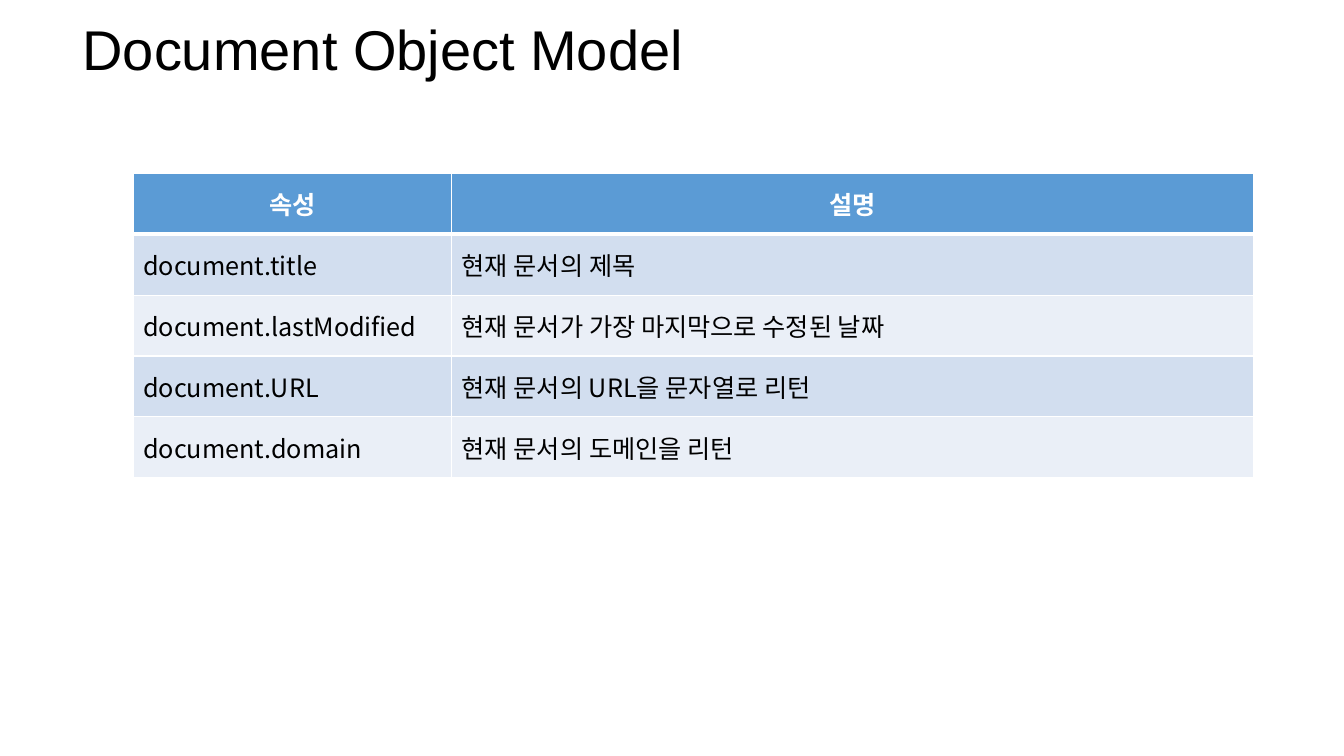
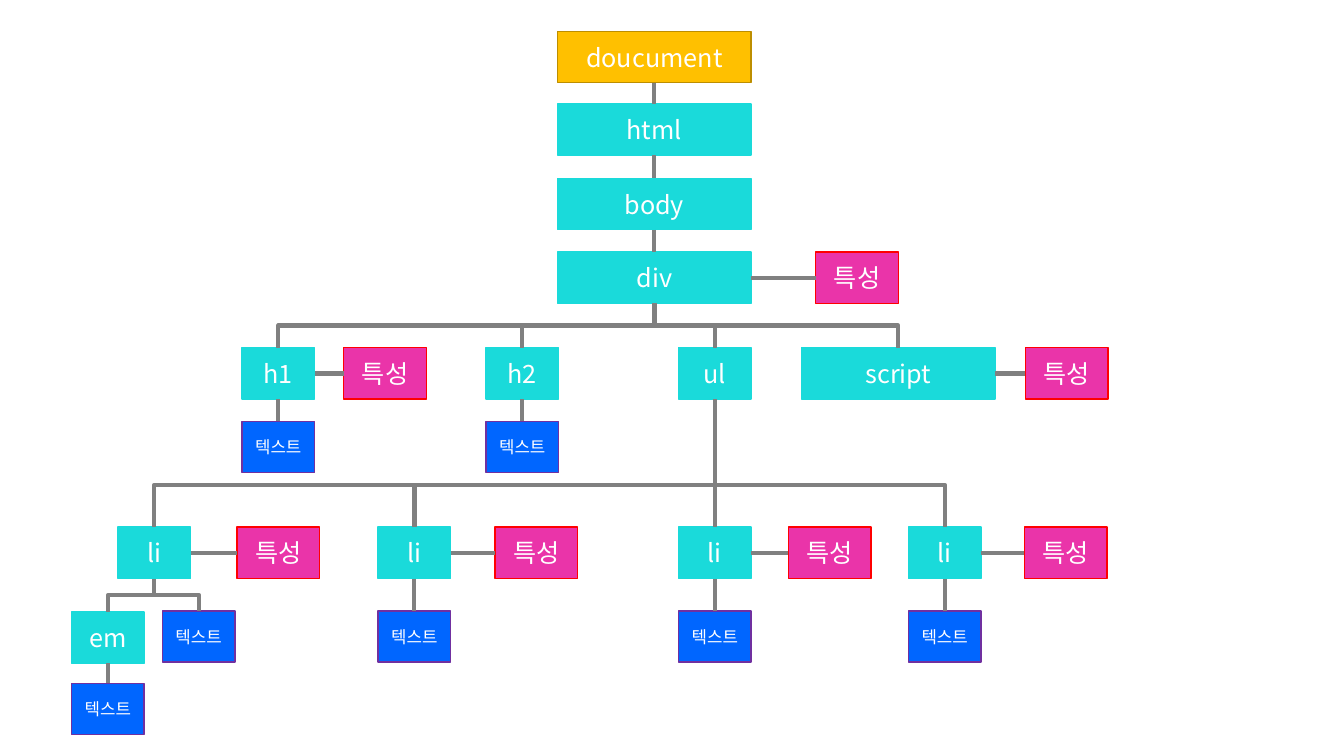
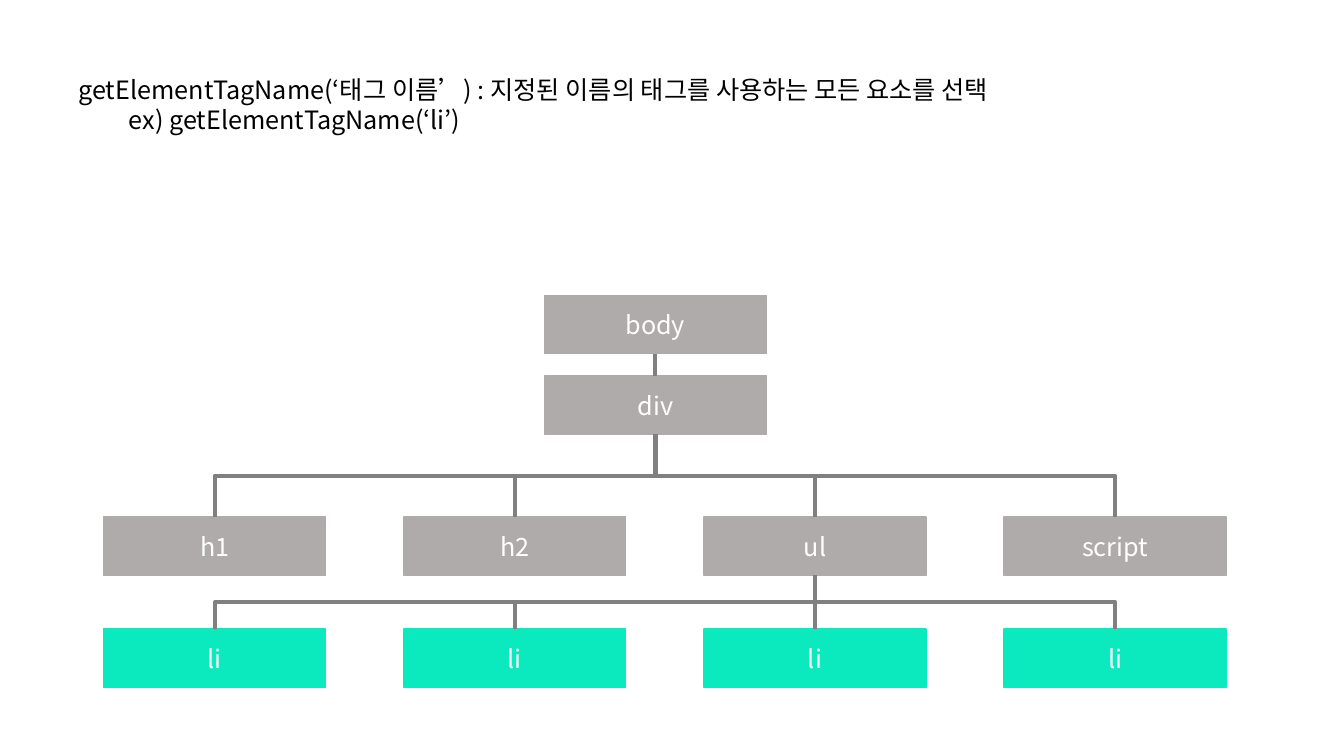
from dataclasses import dataclass

from lxml.etree import SubElement
from pptx import Presentation
from pptx.dml.color import RGBColor
from pptx.enum.shapes import MSO_CONNECTOR, MSO_SHAPE
from pptx.enum.text import MSO_ANCHOR, PP_ALIGN
from pptx.oxml.ns import qn
from pptx.util import Inches, Pt


@dataclass(frozen=True)
class Theme:
    title_font: str = "Arial"
    body_font: str = "Noto Sans CJK KR"
    title_size: int = 40
    body_size: int = 18
    small_size: int = 12
    black: str = "000000"
    white: str = "FFFFFF"
    line: str = "808080"
    line_width: int = 3
    header: str = "5B9BD5"
    bands: tuple = ("D2DEEF", "EAEFF7")


@dataclass(frozen=True)
class Box:
    x: float
    y: float
    w: float
    h: float

    def inner(self, dx, dy, w, h):
        return Box(self.x + dx, self.y + dy, w, h)

    def lengths(self):
        return [Inches(v) for v in (self.x, self.y, self.w, self.h)]


@dataclass(frozen=True)
class NodeStyle:
    fill: str
    line: str
    size: int


T = Theme()
ROOT = NodeStyle("FFC000", "BD8E00", T.body_size)
ELEMENT = NodeStyle("1ADADA", "1ADADA", T.body_size)
ATTRIBUTE = NodeStyle("EA34A9", "FF0000", T.body_size)
TEXT = NodeStyle("0066FF", "7030A0", T.small_size)
PLAIN = NodeStyle("AFABAB", "AFABAB", T.body_size)
SELECTED = NodeStyle("0BE9BF", "0BE9BF", T.body_size)

TOP, LEFT, BOTTOM, RIGHT = range(4)  # connection sites of a rectangle


# Shared helpers
def color(value):
    return RGBColor.from_string(value)


def format_text(tf, size, rgb, font=T.body_font, bold=False, align=None):
    for p in tf.paragraphs:
        p.alignment = align
        for r in p.runs:
            r.font.size, r.font.bold, r.font.name = Pt(size), bold, font
            r.font.color.rgb = color(rgb)
            SubElement(r.font._element, qn("a:ea"), typeface=font)


def add_text(s, box, text, size=T.body_size, font=T.body_font):
    tf = s.shapes.add_textbox(*box.lengths()).text_frame
    tf.word_wrap = True
    tf.text = text
    format_text(tf, size, T.black, font)


def add_node(s, box, text, style):
    sp = s.shapes.add_shape(MSO_SHAPE.RECTANGLE, *box.lengths())
    sp.shadow.inherit = False
    sp.fill.solid()
    sp.fill.fore_color.rgb = color(style.fill)
    sp.line.color.rgb = color(style.line)
    sp.line.width = Pt(1)
    sp.text_frame.text = text
    sp.text_frame.vertical_anchor = MSO_ANCHOR.MIDDLE
    format_text(sp.text_frame, style.size, T.white, align=PP_ALIGN.CENTER)
    return sp


def add_link(s, kind, start, start_site, end, end_site):
    link = s.shapes.add_connector(kind, 0, 0, 0, 0)
    link.begin_connect(start, start_site)
    link.end_connect(end, end_site)
    link.line.color.rgb = color(T.line)
    link.line.width = Pt(T.line_width)
    SubElement(link._element.spPr, qn("a:effectLst"))
    return link


def link_side(s, node, attribute):
    add_link(s, MSO_CONNECTOR.STRAIGHT, node, RIGHT, attribute, LEFT)


def link_down(s, parent, child, bend=0.5):
    """Join child to parent; bend is the share of the rise before the turn."""
    dx = parent.left + parent.width // 2 - child.left - child.width // 2
    if abs(dx) < Inches(0.02):
        add_link(s, MSO_CONNECTOR.STRAIGHT, parent, BOTTOM, child, TOP)
        return
    link = add_link(s, MSO_CONNECTOR.ELBOW, child, TOP, parent, BOTTOM)
    # A vertical start needs a quarter turn about the centre
    mid_x, mid_y = link.left + link.width // 2, link.top + link.height // 2
    link.width, link.height = link.height, link.width
    link.left, link.top = mid_x - link.width // 2, mid_y - link.height // 2
    xfrm = link._element.spPr.find(qn("a:xfrm"))
    xfrm.set("rot", "5400000" if dx > 0 else "16200000")
    xfrm.set("flipH", "1" if dx > 0 else "0")
    xfrm.set("flipV", "1")
    geom = link._element.spPr.find(qn("a:prstGeom"))
    guides = geom.find(qn("a:avLst"))
    if guides is None:
        guides = SubElement(geom, qn("a:avLst"))
    SubElement(guides, qn("a:gd"), name="adj1", fmla=f"val {round(bend * 100000)}")


# Property table
def add_borders(cell, bottom):
    tcPr = cell._tc.get_or_add_tcPr()
    for side, width in (("L", 1), ("R", 1), ("T", 1), ("B", bottom)):
        ln = SubElement(tcPr, qn(f"a:ln{side}"), w=str(Pt(width)))
        SubElement(SubElement(ln, qn("a:solidFill")), qn("a:srgbClr"), val=T.white)


def add_property_table(s, box, rows, first_width):
    table = s.shapes.add_table(len(rows), 2, *box.lengths()).table
    for column, width in zip(table.columns, (first_width, box.w - first_width)):
        column.width = Inches(width)
    for i, row in enumerate(rows):
        head = i == 0
        for j, text in enumerate(row):
            cell = table.cell(i, j)
            cell.text = text
            cell.vertical_anchor = MSO_ANCHOR.MIDDLE
            add_borders(cell, 3 if head else 1)
            cell.fill.solid()
            cell.fill.fore_color.rgb = color(T.header if head else T.bands[(i - 1) % 2])
            format_text(cell.text_frame, T.body_size, T.white if head else T.black,
                        bold=head, align=PP_ALIGN.CENTER if head else None)


# Full document tree
def add_document_tree(s, box):
    wide, narrow, attr_w, h = 1.92, 0.72, 0.82, 0.51
    branch_y, li_y, li_text_y = 3.14, 4.92, 5.75

    def node(text, x, y, w=narrow, style=ELEMENT):
        return add_node(s, box.inner(x, y, w, h), text, style)

    def attribute(owner, x, y):
        link_side(s, owner, node("특성", x, y, attr_w, ATTRIBUTE))

    def text_below(owner, x, y):
        link_down(s, owner, node("텍스트", x, y, style=TEXT))

    # Trunk
    trunk = [node(text, 4.82, y, wide, style) for text, y, style in (
        ("doucument", 0, ROOT), ("html", 0.72, ELEMENT),
        ("body", 1.46, ELEMENT), ("div", 2.19, ELEMENT))]
    for parent, child in zip(trunk, trunk[1:]):
        link_down(s, parent, child)
    div = trunk[-1]
    attribute(div, 7.38, 2.19)

    # Branches of div: name, left, width, left of attribute, has text
    branches = {}
    for name, x, w, attr_x, has_text in (
            ("h1", 1.69, narrow, 2.7, True), ("h2", 4.11, narrow, None, True),
            ("ul", 6.02, narrow, None, False), ("script", 7.24, wide, 9.46, False)):
        branches[name] = branch = node(name, x, branch_y, w)
        link_down(s, div, branch)
        if attr_x is not None:
            attribute(branch, attr_x, branch_y)
        if has_text:
            text_below(branch, x, 3.87)

    # List items: left, left of attribute, left of text
    items = []
    for x, attr_x, text_x in ((0.46, 1.64, 0.9), (3.04, 4.2, 3.04),
                              (6.02, 7.11, 6.02), (8.3, 9.45, 8.3)):
        li = node("li", x, li_y)
        link_down(s, branches["ul"], li, bend=0.33)
        attribute(li, attr_x, li_y)
        text_below(li, text_x, li_text_y)
        items.append(li)

    # Emphasis in the first item
    em = node("em", 0, 5.76)
    link_down(s, items[0], em)
    text_below(em, 0, 6.47)


# Tree with the selected tags
def add_selection_tree(s, box):
    w, h = 2.2, 0.58
    names = ("h1", "h2", "ul", "script")
    pitch = (box.w - w) / (len(names) - 1)

    def row(labels, y, style):
        return [add_node(s, box.inner(i * pitch, y, w, h), text, style)
                for i, text in enumerate(labels)]

    body, div = [add_node(s, box.inner(4.37, y, w, h), text, PLAIN)
                 for text, y in (("body", 0), ("div", 0.8))]
    branches = row(names, 2.2, PLAIN)
    items = row(["li"] * len(names), 3.31, SELECTED)
    link_down(s, body, div)
    for parent, children in ((div, branches), (branches[names.index("ul")], items)):
        for child in children:
            link_down(s, parent, child)


# Slides
def properties_slide(s):
    add_text(s, Box(0.72, 0.09, 9.02, 0.77), "Document Object Model",
             T.title_size, T.title_font)
    add_property_table(s, Box(1.32, 1.72, 11.11, 3.02), (
        ("속성", "설명"),
        ("document.title", "현재 문서의 제목"),
        ("document.lastModified", "현재 문서가 가장 마지막으로 수정된 날짜"),
        ("document.URL", "현재 문서의 URL을 문자열로 리턴"),
        ("document.domain", "현재 문서의 도메인을 리턴"),
    ), first_width=3.16)


def document_slide(s):
    add_document_tree(s, Box(0.71, 0.31, 10.28, 6.98))


def selection_slide(s):
    add_selection_tree(s, Box(1.03, 2.93, 11.13, 3.89))
    add_text(s, Box(0.68, 0.69, 12.18, 0.71),
             "getElementTagName(‘태그 이름’) : 지정된 이름의 태그를 사용하는 모든 요소를 선택\n"
             "\tex) getElementTagName(‘li’)")


def main():
    prs = Presentation()
    prs.slide_width, prs.slide_height = Inches(13.33), Inches(7.5)
    for build in (properties_slide, document_slide, selection_slide):
        build(prs.slides.add_slide(prs.slide_layouts[6]))
    prs.save("out.pptx")


if __name__ == "__main__":
    main()
